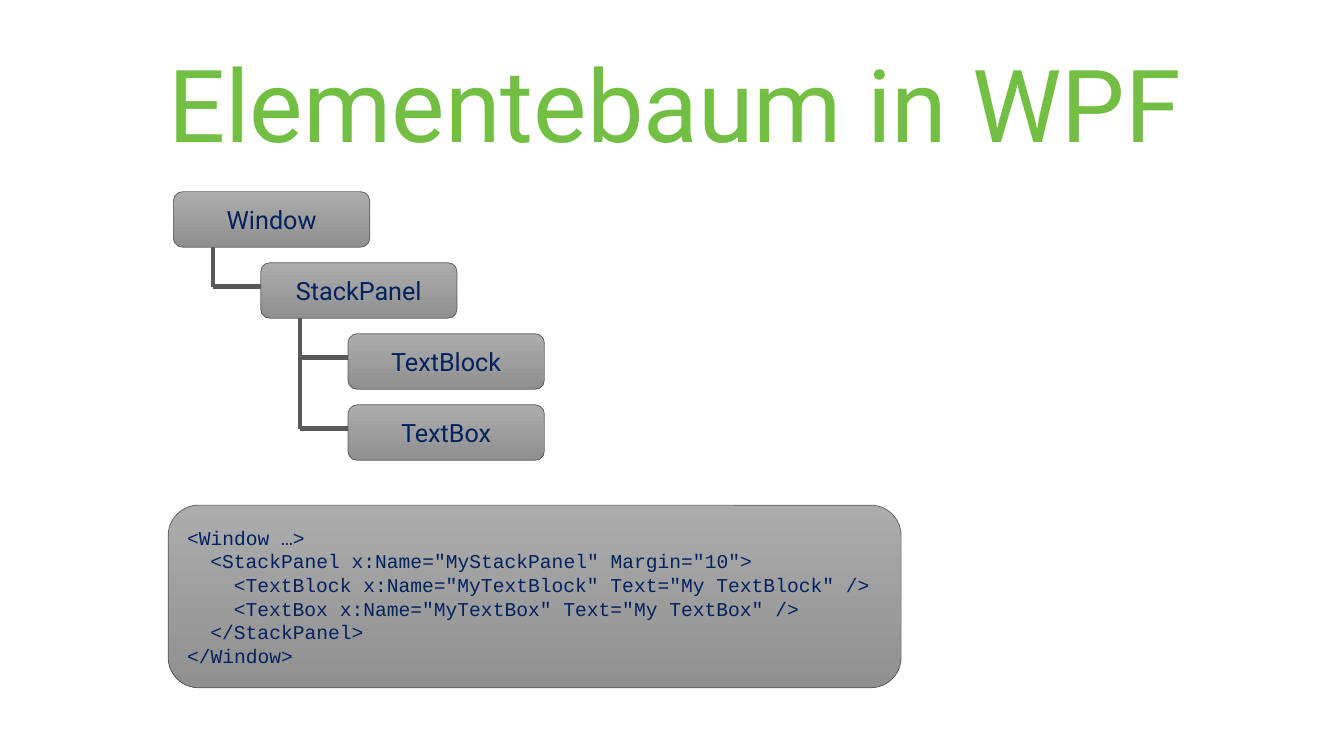
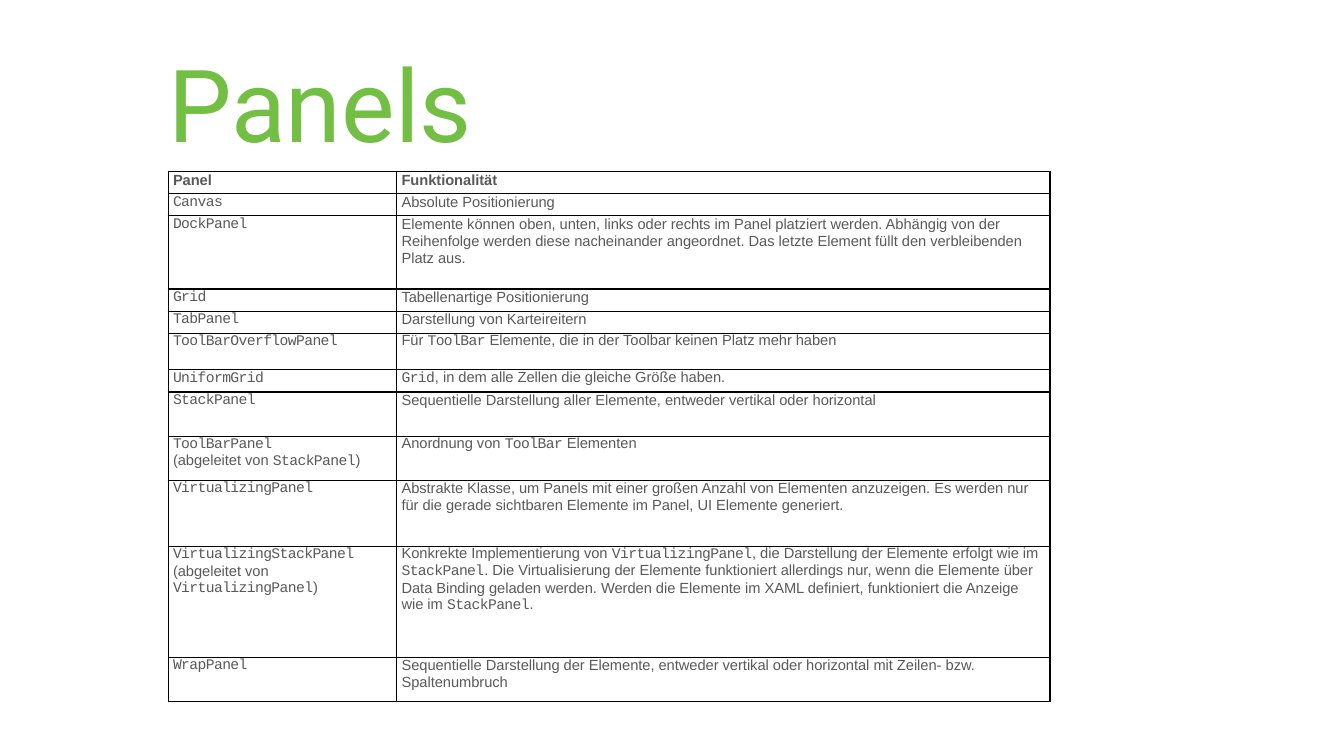
"""Build two slides on the WPF element tree and its panels."""
from dataclasses import dataclass

from lxml import etree
from pptx import Presentation
from pptx import util as u
from pptx.dml.color import RGBColor
from pptx.enum import shapes, text
from pptx.oxml import ns


@dataclass(frozen=True)
class Theme:
    green: RGBColor = RGBColor(0x72, 0xBF, 0x44)
    navy: RGBColor = RGBColor(0x01, 0x22, 0x5F)
    grey: RGBColor = RGBColor(0x59, 0x59, 0x59)
    box_top: RGBColor = RGBColor(0xAC, 0xAC, 0xAC)
    box_bottom: RGBColor = RGBColor(0x90, 0x90, 0x90)
    border: str = "000000"
    heading_font: str = "Roboto"
    body_font: str = "Arial"
    code_font: str = "Courier New"
    title_size: float = 72
    node_size: float = 18
    code_size: float = 14
    table_size: float = 10.5


THEME = Theme()
LEFT = 4.24
NODE_LEFT, NODE_TOP = 4.37, 4.83
NODE_WIDTH, NODE_HEIGHT = 4.95, 1.4
INDENT, ROW_STEP = 2.2, 1.79
TRUNK_OFFSET, BRANCH_OFFSET = 1, 0.6
CODE_INDENT = 0.59

ELEMENT_TREE = ("Window", [("StackPanel", [("TextBlock", []), ("TextBox", [])])])

CODE_LINES = [
    (0, "<Window …>"),
    (1, '<StackPanel x:Name="MyStackPanel" Margin="10">'),
    (2, '<TextBlock x:Name="MyTextBlock" Text="My TextBlock" />'),
    (2, '<TextBox x:Name="MyTextBox" Text="My TextBox" />'),
    (1, "</StackPanel>"),
    (0, "</Window>"),
]

COLUMN_WIDTHS = [5.76, 16.46]
PANEL_ROWS = [
    (0.56, "Panel", "Funktionalität"),
    (0.56, "`Canvas`", "Absolute Positionierung"),
    (1.84, "`DockPanel`",
     "Elemente können oben, unten, links oder rechts im Panel platziert werden. "
     "Abhängig von der Reihenfolge werden diese nacheinander angeordnet. "
     "Das letzte Element füllt den verbleibenden Platz aus."),
    (0.56, "`Grid`", "Tabellenartige Positionierung"),
    (0.56, "`TabPanel`", "Darstellung von Karteireitern"),
    (0.92, "`ToolBarOverflowPanel`",
     "Für `ToolBar` Elemente, die in der Toolbar keinen Platz mehr haben"),
    (0.56, "`UniformGrid`", "`Grid`, in dem alle Zellen die gleiche Größe haben."),
    (1.11, "`StackPanel`",
     "Sequentielle Darstellung aller Elemente, entweder vertikal oder horizontal"),
    (1.11, "`ToolBarPanel`\n(abgeleitet von `StackPanel`)",
     "Anordnung von `ToolBar` Elementen"),
    (1.67, "`VirtualizingPanel`",
     "Abstrakte Klasse, um Panels mit einer großen Anzahl von Elementen anzuzeigen. "
     "Es werden nur für die gerade sichtbaren Elemente im Panel, "
     "UI Elemente generiert."),
    (2.79, "`VirtualizingStackPanel` (abgeleitet von `VirtualizingPanel`)",
     "Konkrekte Implementierung von `VirtualizingPanel`, die Darstellung der "
     "Elemente erfolgt wie im `StackPanel`. Die Virtualisierung der Elemente "
     "funktioniert allerdings nur, wenn die Elemente über Data Binding geladen "
     "werden. Werden die Elemente im XAML definiert, funktioniert die Anzeige "
     "wie im `StackPanel`."),
    (1.11, "`WrapPanel`",
     "Sequentielle Darstellung der Elemente, entweder vertikal oder horizontal "
     "mit Zeilen- bzw. Spaltenumbruch"),
]


def set_font(font, name, size, color):
    font.name = name
    font.size = u.Pt(size)
    font.color.rgb = color


def add_titled_slide(presentation, title_text):
    slide = presentation.slides.add_slide(presentation.slide_layouts[5])
    title = slide.shapes.title
    title.left, title.top = u.Cm(LEFT), u.Cm(1.32)
    title.width, title.height = u.Cm(28.7), u.Cm(2.51)
    frame = title.text_frame
    frame.margin_left = frame.margin_right = 0
    frame.margin_top = frame.margin_bottom = 0
    frame.vertical_anchor = text.MSO_ANCHOR.MIDDLE
    frame.auto_size = text.MSO_AUTO_SIZE.NONE
    frame.text = title_text
    paragraph = frame.paragraphs[0]
    paragraph.alignment = text.PP_ALIGN.LEFT
    set_font(paragraph.font, THEME.heading_font, THEME.title_size, THEME.green)
    return slide


def add_box(slide, left, top, width, height):
    shape = slide.shapes.add_shape(
        shapes.MSO_SHAPE.ROUNDED_RECTANGLE,
        u.Cm(left), u.Cm(top), u.Cm(width), u.Cm(height))
    shape.shadow.inherit = False
    shape.fill.gradient()
    shape.fill.gradient_angle = 270
    stops = shape.fill.gradient_stops
    for stop, color in zip(stops, (THEME.box_top, THEME.box_bottom)):
        stop.color.rgb = color
    shape.line.color.rgb = THEME.grey
    shape.line.width = u.Pt(0.5)
    shape.text_frame.vertical_anchor = text.MSO_ANCHOR.MIDDLE
    return shape


def add_line(slide, start_x, start_y, end_x, end_y):
    line = slide.shapes.add_connector(
        shapes.MSO_CONNECTOR.STRAIGHT,
        u.Cm(start_x), u.Cm(start_y), u.Cm(end_x), u.Cm(end_y))
    line.line.color.rgb = THEME.grey
    line.line.width = u.Pt(3)
    etree.SubElement(line._element.spPr, ns.qn("a:effectLst"))


def add_tree(slide, node, depth=0, row=0):
    """Draw a node with its branches and return the next free row."""
    label, children = node
    left = NODE_LEFT + depth * INDENT
    top = NODE_TOP + row * ROW_STEP
    trunk_x = left + TRUNK_OFFSET
    next_row = row + 1
    for child in children:
        branch_y = NODE_TOP + next_row * ROW_STEP + BRANCH_OFFSET
        add_line(slide, trunk_x, branch_y, left + INDENT, branch_y)
        next_row = add_tree(slide, child, depth + 1, next_row)
    if children:
        add_line(slide, trunk_x, top + NODE_HEIGHT, trunk_x, branch_y)
    shape = add_box(slide, left, top, NODE_WIDTH, NODE_HEIGHT)
    shape.text_frame.text = label
    paragraph = shape.text_frame.paragraphs[0]
    paragraph.alignment = text.PP_ALIGN.CENTER
    set_font(paragraph.font, THEME.heading_font, THEME.node_size, THEME.navy)
    return next_row


def add_code(slide, lines):
    frame = add_box(slide, LEFT, 12.73, 18.47, 4.6).text_frame
    frame.text = "\n".join(line for _, line in lines)
    for paragraph, (level, _) in zip(frame.paragraphs, lines):
        paragraph.alignment = text.PP_ALIGN.LEFT
        set_font(paragraph.font, THEME.code_font, THEME.code_size, THEME.navy)
        properties = paragraph._p.get_or_add_pPr()
        properties.set("marL", str(u.Cm(level * CODE_INDENT)))


def add_mixed_text(paragraph, marked_text):
    """Add runs, setting the parts between backticks in the code font."""
    for index, part in enumerate(marked_text.split("`")):
        is_code = index % 2 == 1
        for line_number, line in enumerate(part.split("\n")):
            if line_number:
                paragraph.add_line_break()
            if line:
                run = paragraph.add_run()
                run.text = line
                run.font.name = THEME.code_font if is_code else THEME.body_font
                if is_code:
                    run._r.get_or_add_rPr().set("spc", "-40")


def add_borders(cell):
    properties = cell._tc.get_or_add_tcPr()
    for side in ("lnL", "lnR", "lnT", "lnB"):
        line = etree.SubElement(properties, ns.qn(f"a:{side}"), w=str(u.Pt(1)))
        fill = etree.SubElement(line, ns.qn("a:solidFill"))
        etree.SubElement(fill, ns.qn("a:srgbClr"), val=THEME.border)


def fill_cell(cell, marked_text, bold):
    cell.margin_left = cell.margin_right = u.Cm(0.12)
    cell.margin_top = cell.margin_bottom = 0
    add_borders(cell)
    cell.fill.background()
    paragraph = cell.text_frame.paragraphs[0]
    paragraph.line_spacing = u.Pt(12)
    paragraph.space_after = u.Pt(2)
    set_font(paragraph.font, THEME.body_font, THEME.table_size, THEME.grey)
    paragraph.font.bold = bold
    add_mixed_text(paragraph, marked_text)


def add_panel_table(slide, rows):
    height = sum(row[0] for row in rows)
    table = slide.shapes.add_table(
        len(rows), len(COLUMN_WIDTHS), u.Cm(LEFT), u.Cm(4.32),
        u.Cm(sum(COLUMN_WIDTHS)), u.Cm(height)).table
    table.first_row = table.horz_banding = False
    for column, width in zip(table.columns, COLUMN_WIDTHS):
        column.width = u.Cm(width)
    for index, (row_height, *cell_texts) in enumerate(rows):
        table.rows[index].height = u.Cm(row_height)
        for cell, cell_text in zip(table.rows[index].cells, cell_texts):
            fill_cell(cell, cell_text, bold=index == 0)


def main():
    presentation = Presentation()
    presentation.slide_width = u.Cm(33.87)
    presentation.slide_height = u.Cm(19.05)

    tree_slide = add_titled_slide(presentation, "Elementebaum in WPF")
    add_tree(tree_slide, ELEMENT_TREE)
    add_code(tree_slide, CODE_LINES)

    panel_slide = add_titled_slide(presentation, "Panels")
    add_panel_table(panel_slide, PANEL_ROWS)

    presentation.save("out.pptx")


if __name__ == "__main__":
    main()
